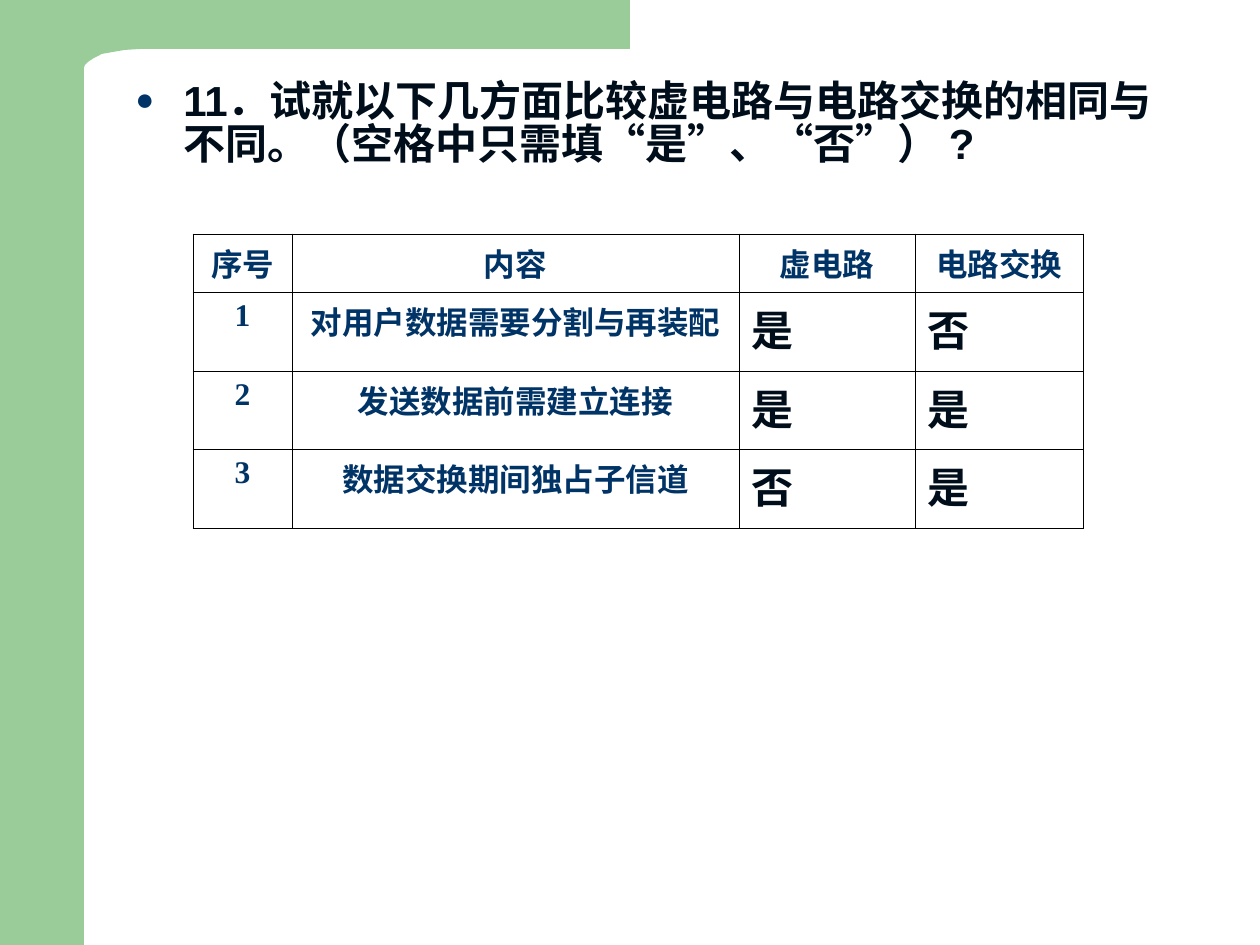
"""Build a slide comparing virtual circuits with circuit switching."""
from lxml import etree
from pptx import Presentation
from pptx.dml.color import RGBColor
from pptx.enum.shapes import MSO_SHAPE
from pptx.enum.text import PP_ALIGN
from pptx.oxml.ns import qn
from pptx.util import Emu, Pt

RECTANGLE = MSO_SHAPE.RECTANGLE
LEFT, CENTER = PP_ALIGN.LEFT, PP_ALIGN.CENTER
GREEN = RGBColor(0x99, 0xCC, 0x99)
NAVY = RGBColor(0x00, 0x33, 0x66)
INK = RGBColor(0x00, 0x0D, 0x1A)
BLACK = RGBColor(0x00, 0x00, 0x00)
SANS, SERIF = "Arial", "Times New Roman"

BAND_OUTLINE = [
    (15, 0), (630, 0), (630, 49), (150, 49), (141, 49), (125, 50), (113, 52),
    (102, 54), (94, 58), (88, 62), (85, 65), (84, 68), (84, 76), (15, 76),
]
QUESTION = "11．试就以下几方面比较虚电路与电路交换的相同与不同。（空格中只需填“是”、“否”） ?"
COLUMN_WIDTHS = [99, 447, 176, 169]
ROW_HEIGHTS = [58, 79, 78, 79]
COMPARISON = [
    ["序号", "内容", "虚电路", "电路交换"],
    ["1", "对用户数据需要分割与再装配", "是", "否"],
    ["2", "发送数据前需建立连接", "是", "是"],
    ["3", "数据交换期间独占子信道", "否", "是"],
]


def px(length):
    """Turn pixels into EMU."""
    return Emu(round(length * 914400 / 126))


class SlideBuilder:
    """Hold the deck, its current page and the shared style."""

    def __init__(self, width, height):
        self.deck = Presentation()
        self.deck.slide_width, self.deck.slide_height = px(width), px(height)
        self.page = self.deck.slides.add_slide(self.deck.slide_layouts[6])

    def paint(self, shape, color):
        """Give a shape a flat fill without line or shadow."""
        shape.shadow.inherit = False
        shape.fill.solid()
        shape.fill.fore_color.rgb = color
        shape.line.fill.background()

    def rectangle(self, left, top, width, height, color):
        """Add a plain rectangle."""
        box = self.page.shapes.add_shape(
            RECTANGLE, px(left), px(top), px(width), px(height))
        self.paint(box, color)

    def outline(self, points, color):
        """Add a filled outline through the points."""
        start, *others = [(px(x), px(y)) for x, y in points]
        builder = self.page.shapes.build_freeform(*start)
        builder.add_line_segments(others, close=True)
        self.paint(builder.convert_to_shape(), color)

    def span(self, para, text, size, font, color):
        """Add one bold run."""
        span = para.add_run()
        span.text = text
        span.font.size, span.font.bold = Pt(size), True
        span.font.name, span.font.color.rgb = font, color

    def bullet(self, para, indent, color):
        """Give a paragraph a hanging round bullet."""
        properties = para._p.get_or_add_pPr()
        properties.set("marL", str(px(indent)))
        properties.set("indent", str(-px(indent)))
        tint = etree.SubElement(properties, qn("a:buClr"))
        etree.SubElement(tint, qn("a:srgbClr"), val=str(color))
        etree.SubElement(properties, qn("a:buSzPct"), val="75000")
        etree.SubElement(properties, qn("a:buFont"), typeface=SANS)
        etree.SubElement(properties, qn("a:buChar"), char="●")

    def question(self, left, top, width, height, text):
        """Add the bulleted question."""
        box = self.page.shapes.add_textbox(
            px(left), px(top), px(width), px(height))
        box.text_frame.word_wrap = True
        para = box.text_frame.paragraphs[0]
        para.space_before, para.line_spacing = Pt(6), 0.85
        self.bullet(para, 48, NAVY)
        self.span(para, text, 24, SANS, INK)

    def borders(self, cell, color):
        """Draw thin lines on all four sides of a cell."""
        properties = cell._tc.get_or_add_tcPr()
        for side in ("a:lnL", "a:lnR", "a:lnT", "a:lnB"):
            line = etree.SubElement(properties, qn(side), w=str(Pt(0.45)))
            fill = etree.SubElement(line, qn("a:solidFill"))
            etree.SubElement(fill, qn("a:srgbClr"), val=str(color))

    def table(self, left, top, widths, heights, rows):
        """Add the table, with larger left-aligned answers."""
        grid = self.page.shapes.add_table(
            len(heights), len(widths), px(left), px(top),
            px(sum(widths)), px(sum(heights))).table
        for column, width in zip(grid.columns, widths):
            column.width = px(width)
        for row, height in zip(grid.rows, heights):
            row.height = px(height)
        for r, row in enumerate(rows):
            for c, text in enumerate(row):
                cell = grid.cell(r, c)
                self.borders(cell, BLACK)
                cell.fill.background()
                para = cell.text_frame.paragraphs[0]
                if r > 0 and c > 1:
                    para.alignment, para.space_before = LEFT, Pt(6)
                    self.span(para, text, 24, SANS, INK)
                else:
                    para.alignment = CENTER
                    self.span(para, text, 18, SERIF, NAVY)


def main():
    """Build and save the slide."""
    slide = SlideBuilder(1260, 945)
    slide.rectangle(0, 0, 84, 945, GREEN)
    slide.outline(BAND_OUTLINE, GREEN)
    slide.question(123, 76, 1062, 159, QUESTION)
    slide.table(193, 234, COLUMN_WIDTHS, ROW_HEIGHTS, COMPARISON)
    slide.deck.save("out.pptx")


if __name__ == "__main__":
    main()
